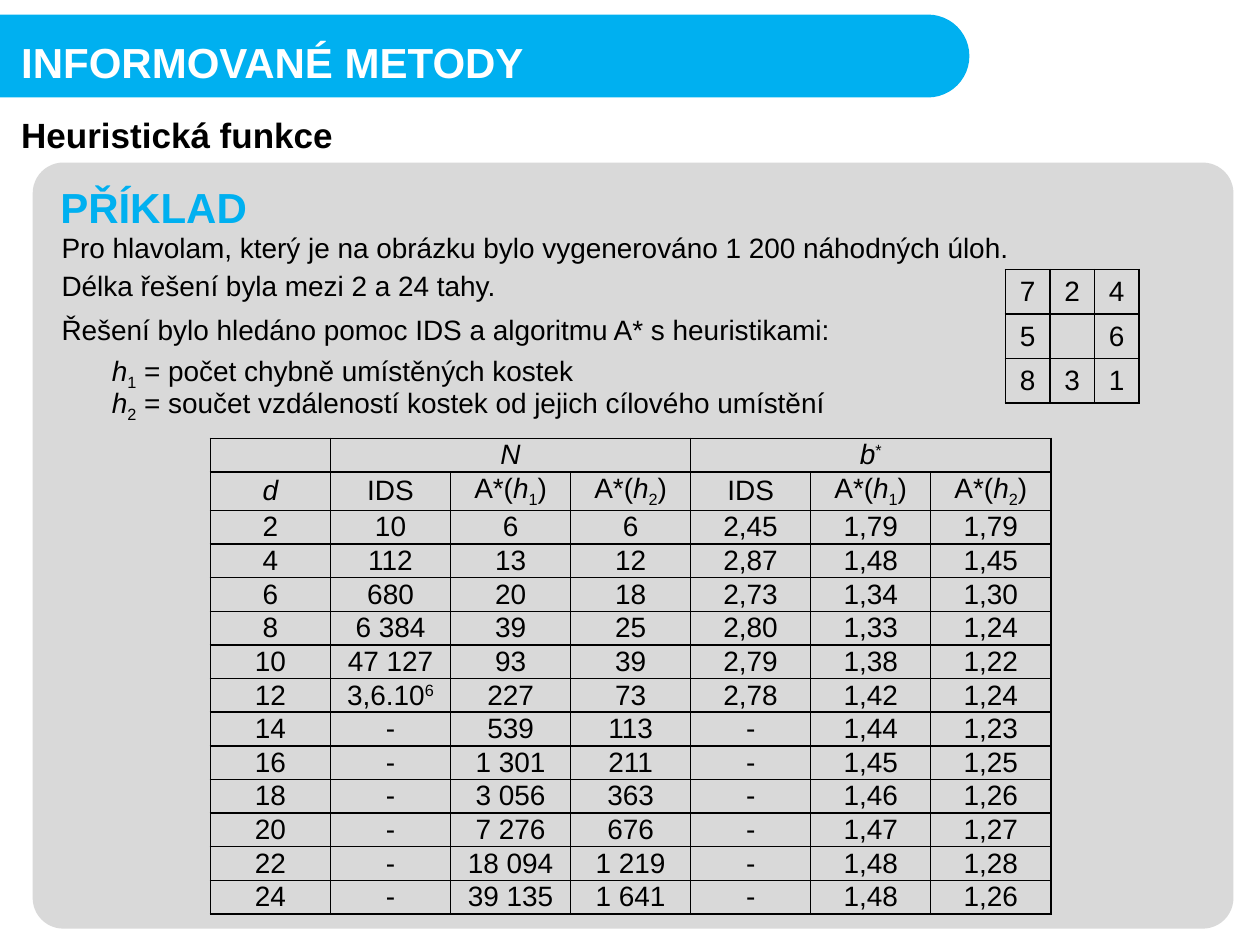
import pptx
import pptx.dml.color
import pptx.enum.shapes
import pptx.enum.text
import pptx.oxml
import pptx.oxml.ns
import pptx.util
import lxml.etree

Inches = pptx.util.Inches
Pt = pptx.util.Pt
ANCHOR = pptx.enum.text.MSO_ANCHOR

BLUE, PANEL, BLACK, WHITE = "00B0F0", "D9D9D9", "000000", "FFFFFF"
SUBSCRIPT, SUPERSCRIPT = -25000, 30000

BODY_LINES = [
    (0.39, "Pro hlavolam, který je na obrázku bylo vygenerováno 1 200 náhodných úloh."),
    (0.69, "Délka řešení byla mezi 2 a 24 tahy."),
    (1.04, "Řešení bylo hledáno pomoc IDS a algoritmu A* s heuristikami:"),
]
HEURISTICS = [
    (1.38, "1", " = počet chybně umístěných kostek"),
    (1.64, "2", " = součet vzdáleností kostek od jejich cílového umístění"),
]
PUZZLE = [["7", "2", "4"], ["5", "", "6"], ["8", "3", "1"]]


def heuristic(index):
    return [("h", {"italic": True}), (index, {"baseline": SUBSCRIPT})]


def search_with(index):
    return ["A*("] + heuristic(index) + [")"]


ALGORITHMS = ["IDS", search_with("1"), search_with("2")]
RESULTS = [
    ["", [("N", {"italic": True})], "", "",
     [("b", {"italic": True}), ("*", {"baseline": SUPERSCRIPT})], "", ""],
    [[("d", {"italic": True})]] + ALGORITHMS * 2,
    ["2", "10", "6", "6", "2,45", "1,79", "1,79"],
    ["4", "112", "13", "12", "2,87", "1,48", "1,45"],
    ["6", "680", "20", "18", "2,73", "1,34", "1,30"],
    ["8", "6 384", "39", "25", "2,80", "1,33", "1,24"],
    ["10", "47 127", "93", "39", "2,79", "1,38", "1,22"],
    ["12", ["3,6.10", ("6", {"baseline": SUPERSCRIPT})], "227", "73", "2,78", "1,42", "1,24"],
    ["14", "-", "539", "113", "-", "1,44", "1,23"],
    ["16", "-", "1 301", "211", "-", "1,45", "1,25"],
    ["18", "-", "3 056", "363", "-", "1,46", "1,26"],
    ["20", "-", "7 276", "676", "-", "1,47", "1,27"],
    ["22", "-", "18 094", "1 219", "-", "1,48", "1,28"],
    ["24", "-", "39 135", "1 641", "-", "1,48", "1,26"],
]


def color(hex_string):
    return pptx.dml.color.RGBColor.from_string(hex_string)


def add_spans(para, content, size=16, hex_string=BLACK, bold=False):
    """Write content, a string or a list of strings and (text, style) pairs."""
    for item in [content] if isinstance(content, str) else content:
        text, style = (item, {}) if isinstance(item, str) else item
        span = para.add_run()
        span.text = text
        font = span.font
        font.name, font.size, font.bold = "Arial", Pt(size), bold
        font.italic = style.get("italic", False)
        font.color.rgb = color(hex_string)
        if "baseline" in style:
            font._element.set("baseline", str(style["baseline"]))


def add_text(page, left, top, width, height, content,
             wrap=True, anchor=ANCHOR.TOP, **style):
    box = page.shapes.add_textbox(Inches(left), Inches(top), Inches(width), Inches(height))
    frame = box.text_frame
    frame.word_wrap = wrap
    frame.auto_size = pptx.enum.text.MSO_AUTO_SIZE.SHAPE_TO_FIT_TEXT
    frame.vertical_anchor = anchor
    add_spans(frame.paragraphs[0], content, **style)


def add_rounded_box(page, left, top, width, height, rounding, fill, line=None):
    box = page.shapes.add_shape(pptx.enum.shapes.MSO_SHAPE.ROUNDED_RECTANGLE,
                                Inches(left), Inches(top), Inches(width), Inches(height))
    box.adjustments[0] = rounding
    box.shadow.inherit = False
    box.fill.solid()
    box.fill.fore_color.rgb = color(fill)
    if line:
        box.line.color.rgb = color(line)
        box.line.width = Pt(2)
    else:
        box.line.fill.background()


def set_borders(cell, hex_string):
    properties = cell._tc.get_or_add_tcPr()
    for side in ("lnL", "lnR", "lnT", "lnB"):
        line = lxml.etree.SubElement(properties, pptx.oxml.ns.qn(f"a:{side}"), w=str(Pt(1)))
        fill = lxml.etree.SubElement(line, pptx.oxml.ns.qn("a:solidFill"))
        lxml.etree.SubElement(fill, pptx.oxml.ns.qn("a:srgbClr"), val=hex_string)


def add_grid(page, left, top, width, height, rows, merges=()):
    """Add a bordered table; merges lists (row, first column, last column)."""
    row_count, column_count = len(rows), len(rows[0])
    table = page.shapes.add_table(row_count, column_count, Inches(left), Inches(top),
                                  Inches(width), Inches(height)).table
    table.first_row = table.horz_banding = False
    for row, contents in zip(table.rows, rows):
        for cell, content in zip(row.cells, contents):
            cell.margin_left = cell.margin_right = cell.margin_top = cell.margin_bottom = 0
            cell.vertical_anchor = ANCHOR.MIDDLE
            set_borders(cell, BLACK)
            cell.fill.background()
            para = cell.text_frame.paragraphs[0]
            para.alignment = pptx.enum.text.PP_ALIGN.CENTER
            if content:
                add_spans(para, content)
            else:
                para._p.get_or_add_endParaRPr().set("sz", "1600")
    for row, first, last in merges:
        table.cell(row, first).merge(table.cell(row, last))


def add_header(page, left, top):
    add_rounded_box(page, left, top, 8.03, 0.63, 0.5, BLUE, BLUE)
    add_text(page, left + 0.42, top + 0.11, 4.23, 0.5, "INFORMOVANÉ METODY",
             wrap=False, size=24, hex_string=WHITE, bold=True)
    add_text(page, left + 0.42, top + 0.72, 5.87, 0.44, "Heuristická funkce",
             anchor=ANCHOR.MIDDLE, size=20, bold=True)


def add_example(page, left, top):
    """Add the text of the example and its two tables."""
    add_text(page, left, top, 1.79, 0.5, "PŘÍKLAD", wrap=False,
             size=24, hex_string=BLUE, bold=True)
    for offset, sentence in BODY_LINES:
        add_text(page, left + 0.01, top + offset, 9.08, 0.37, sentence)
    for offset, index, meaning in HEURISTICS:
        add_text(page, left + 0.41, top + offset, 7.96, 0.37,
                 heuristic(index) + [meaning], anchor=ANCHOR.MIDDLE)
    add_grid(page, left + 7.6, top + 0.75, 1.06, 1.06, PUZZLE)
    add_grid(page, left + 1.29, top + 2.09, 6.67, 3.36, RESULTS, [(0, 1, 3), (0, 4, 6)])


def main():
    deck = pptx.Presentation()
    deck.slide_width, deck.slide_height = Inches(10), Inches(7.5)
    page = deck.slides.add_slide(deck.slide_layouts[6])
    add_rounded_box(page, 0.26, 1.29, 9.53, 6.08, 0.04, PANEL)
    add_header(page, -0.35, 0.13)
    add_example(page, 0.38, 1.39)
    deck.save("out.pptx")


if __name__ == "__main__":
    main()
